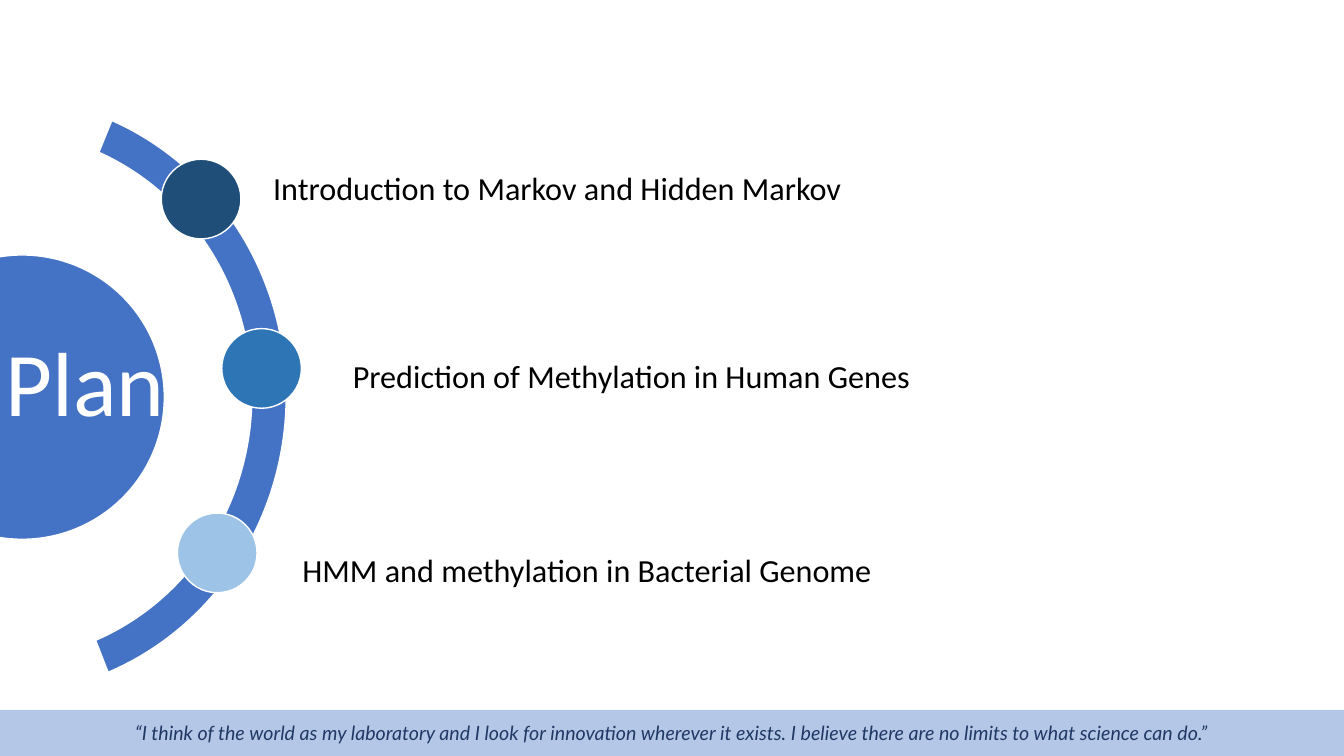
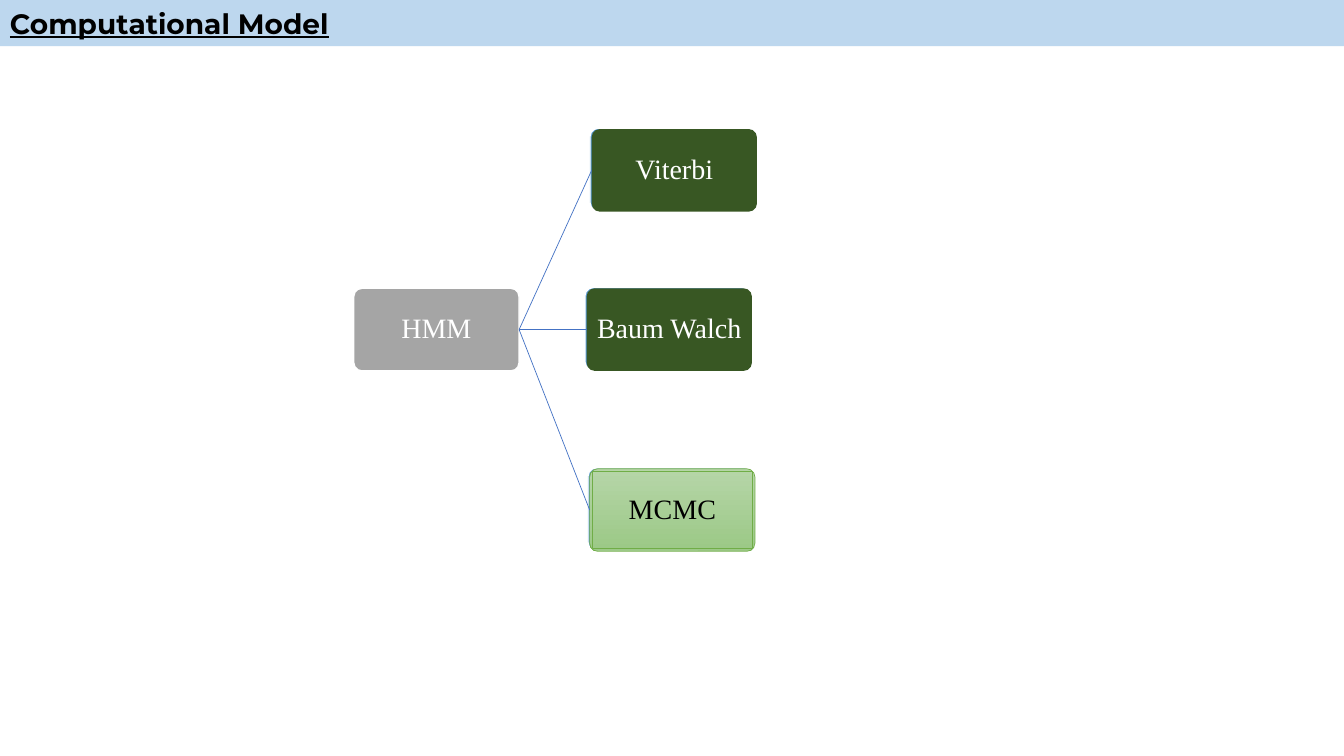
from dataclasses import dataclass

from lxml.etree import SubElement
from pptx import Presentation
from pptx.dml.color import RGBColor
from pptx.enum.shapes import MSO_CONNECTOR, MSO_SHAPE as Preset
from pptx.enum.text import MSO_ANCHOR, PP_ALIGN as Align
from pptx.oxml.ns import qn
from pptx.util import Emu, Inches, Pt

# Grid of square cells shared by all slides
COLUMNS, ROWS = 160, 90
CELL = Inches(7.5) // ROWS
BAND_ROWS = 5.5
DOT_SIZE = 9.48
CARD_COLUMNS, CARD_ROWS = 19.68, 9.84
CARD_MARGIN = 0.3

COLORS = {
    "white": "FFFFFF", "black": "000000", "blue": "4472C4",
    "navy": "1F4E79", "mid_blue": "2E75B6", "pale_blue": "9DC3E6",
    "quote_band": "B4C7E7", "quote_ink": "203864", "title_band": "BDD7EE",
    "gray": "A5A5A5", "backing": "5B9BD5", "green": "385723",
    "leaf_top": "B5D5A7", "leaf_bottom": "9CC987", "leaf_edge": "70AD47",
}


@dataclass(frozen=True)
class Area:
    column: float
    row: float
    columns: float
    rows: float

    def emu(self) -> list[Emu]:
        return [Emu(round(n * CELL)) for n in (self.column, self.row, self.columns, self.rows)]

    def inset(self, margin: float) -> "Area":
        return Area(self.column + margin, self.row + margin,
                    self.columns - 2 * margin, self.rows - 2 * margin)


@dataclass(frozen=True)
class TextStyle:
    font: str
    size: float
    color: str
    align: Align = Align.LEFT
    bold: bool = False
    italic: bool = False
    underline: bool = False
    inset: float = 0.03
    spacing: float = 0.9


@dataclass(frozen=True)
class Topic:
    label: str
    color: str
    dot: tuple[float, float]
    label_area: Area


@dataclass(frozen=True)
class Card:
    label: str
    column: float
    row: float
    fill: tuple[str, ...]
    ink: str = "white"
    edge: str | None = None
    edge_width: float = 1

    @property
    def area(self) -> Area:
        return Area(self.column, self.row, CARD_COLUMNS, CARD_ROWS)

    @property
    def middle(self) -> float:
        return self.row + CARD_ROWS / 2


TITLE = TextStyle("Montserrat", 20, "black", bold=True, underline=True, inset=0.1, spacing=1)
QUOTE = TextStyle("Lato", 14, "quote_ink", Align.CENTER, italic=True, inset=0.1, spacing=1)
PLAN = TextStyle("Calibri", 65, "white", Align.CENTER, inset=0.09)
TOPIC = TextStyle("Calibri", 23, "black")

TOPICS = [
    Topic("Introduction to Markov and Hidden Markov", "navy",
          (19.2, 18.96), Area(32.16, 13.92, 93.6, 17.52)),
    Topic("Prediction of Methylation in Human Genes", "mid_blue",
          (26.4, 39.12), Area(41.64, 36.24, 76.68, 17.52)),
    Topic("HMM and methylation in Bacterial Genome", "pale_blue",
          (21.12, 61.08), Area(35.64, 59.4, 72.24, 17.52)),
]
MODEL = Card("HMM", 42.12, 34.32, ("gray",), edge="white")
METHODS = [
    Card("Viterbi", 70.44, 15.36, ("green",)),
    Card("Baum Walch", 69.84, 34.32, ("green",)),
    Card("MCMC", 70.2, 55.8, ("leaf_top", "leaf_bottom"), "black", "leaf_edge", 0.5),
]


def rgb(name: str) -> RGBColor:
    return RGBColor.from_string(COLORS[name])


def write(shape, text: str, style: TextStyle) -> None:
    frame = shape.text_frame
    frame.word_wrap = True
    frame.vertical_anchor = MSO_ANCHOR.MIDDLE
    frame.margin_left = frame.margin_right = Inches(style.inset)
    frame.margin_top = frame.margin_bottom = Inches(min(style.inset, 0.05))
    paragraph = frame.paragraphs[0]
    paragraph.alignment = style.align
    paragraph.line_spacing = style.spacing
    run = paragraph.add_run()
    run.text = text
    font = run.font
    font.name, font.size, font.color.rgb = style.font, Pt(style.size), rgb(style.color)
    font.bold, font.italic, font.underline = style.bold, style.italic, style.underline


def add_shape(slide, preset: Preset, area: Area, fill: tuple[str, ...],
              edge: str | None = None, edge_width: float = 1):
    shape = slide.shapes.add_shape(preset, *area.emu())
    shape.shadow.inherit = False
    if len(fill) > 1:
        shape.fill.gradient()
        shape.fill.gradient_angle = 270
        for stop, name in zip(shape.fill.gradient_stops, fill):
            stop.color.rgb = rgb(name)
    else:
        shape.fill.solid()
        shape.fill.fore_color.rgb = rgb(fill[0])
    if edge:
        shape.line.color.rgb = rgb(edge)
        shape.line.width = Pt(edge_width)
    else:
        shape.line.fill.background()
    return shape


def add_label(slide, area: Area, text: str, style: TextStyle) -> None:
    write(slide.shapes.add_textbox(*area.emu()), text, style)


def add_band(slide, row: float, fill: str, text: str, style: TextStyle) -> None:
    band = add_shape(slide, Preset.RECTANGLE, Area(0, row, COLUMNS, BAND_ROWS), (fill,))
    write(band, text, style)


def add_rounded(slide, area: Area, fill: tuple[str, ...], edge: str | None, edge_width: float = 1):
    rounded = add_shape(slide, Preset.ROUNDED_RECTANGLE, area, fill, edge, edge_width)
    rounded.adjustments[0] = 0.1
    return rounded


def add_card(slide, card: Card) -> None:
    front = add_rounded(slide, card.area, card.fill, card.edge, card.edge_width)
    if len(card.fill) > 1:  # Gradient cards carry an inner panel
        front = add_shape(slide, Preset.RECTANGLE, card.area.inset(CARD_MARGIN),
                          card.fill, card.edge, card.edge_width)
    write(front, card.label,
          TextStyle("Times New Roman", 20, card.ink, Align.CENTER, inset=0.01))


def add_branch(slide, source: Card, target: Card) -> None:
    ends = Area(source.column + CARD_COLUMNS, source.middle, target.column, target.middle)
    branch = slide.shapes.add_connector(MSO_CONNECTOR.STRAIGHT, *ends.emu())
    branch.line.color.rgb = rgb("blue")
    branch.line.width = Pt(0.5)
    SubElement(branch._element.spPr, qn("a:effectLst"))


def build_plan(slide) -> None:
    # Hub and arc
    add_shape(slide, Preset.OVAL, Area(-14.28, 30.36, 33.84, 33.84), ("blue",), "white")
    add_label(slide, Area(-1.8, 34.08, 23.88, 23.88), "Plan", PLAN)
    arc = add_shape(slide, Preset.BLOCK_ARC, Area(-34.08, 11.52, 68.16, 71.16),
                    ("blue",), "white")
    for index, value in enumerate((175.28, 41.19, 0.06)):
        arc.adjustments[index] = value
    # Topics along the arc
    for topic in TOPICS:
        add_shape(slide, Preset.OVAL, Area(*topic.dot, DOT_SIZE, DOT_SIZE),
                  (topic.color,), "white")
        add_label(slide, topic.label_area, topic.label, TOPIC)
    # Quote
    add_band(slide, ROWS - BAND_ROWS, "quote_band",
             "“I think of the world as my laboratory and I look for innovation wherever "
             "it exists. I believe there are no limits to what science can do.”", QUOTE)


def build_model(slide) -> None:
    add_band(slide, 0, "title_band", "Computational Model", TITLE)
    add_card(slide, MODEL)
    # Methods, each on a slightly shifted backing
    for method in METHODS:
        backing = Area(method.column - 0.2, method.row - 0.1, CARD_COLUMNS, CARD_ROWS)
        add_rounded(slide, backing, ("backing",), "white")
        add_card(slide, method)
    for method in METHODS:
        add_branch(slide, MODEL, method)


def main() -> None:
    deck = Presentation()
    deck.slide_width, deck.slide_height = COLUMNS * CELL, ROWS * CELL
    blank = deck.slide_layouts[6]
    for build in (build_plan, build_model):
        build(deck.slides.add_slide(blank))
    deck.save("out.pptx")


if __name__ == "__main__":
    main()
